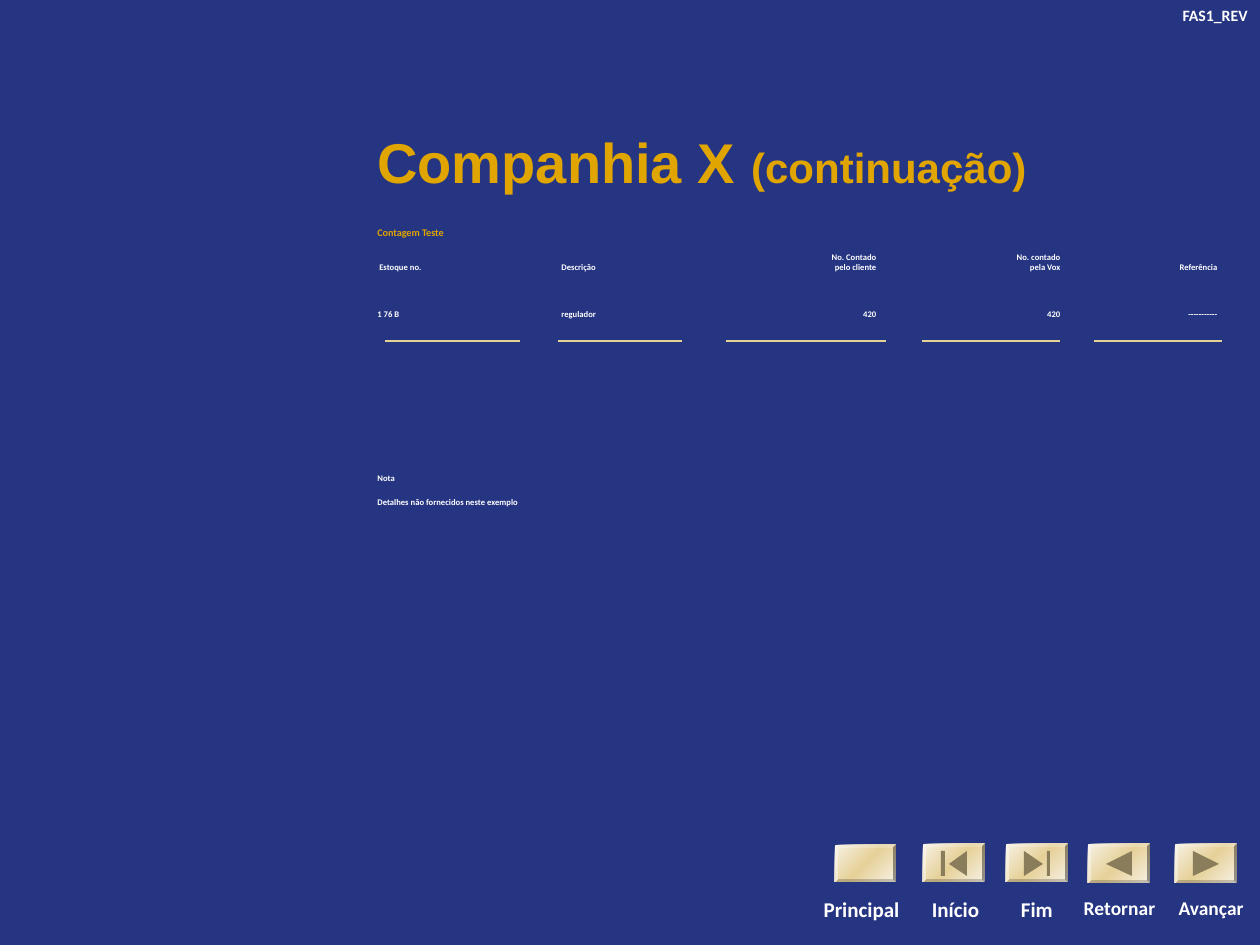
from copy import deepcopy

from pptx import Presentation
from pptx.dml.color import RGBColor
from pptx.enum.shapes import MSO_CONNECTOR, MSO_SHAPE
from pptx.enum.text import MSO_ANCHOR, PP_ALIGN
from pptx.oxml.ns import qn
from pptx.util import Emu, Pt
from lxml.etree import SubElement

PX = 914400 / 126
NAVY = RGBColor(0x26, 0x35, 0x82)
GOLD = RGBColor(0xE0, 0xA5, 0x00)
WHITE = RGBColor(0xFF, 0xFF, 0xFF)
SAND = RGBColor(0xE6, 0xD1, 0x99)
CREAM = RGBColor(0xF7, 0xF2, 0xE5)
OLIVE = RGBColor(0x8A, 0x7D, 0x5C)


def px(*lengths):
    """Turn pixel lengths into EMU."""
    return [Emu(round(n * PX)) for n in lengths]


def add_text(box, paragraphs, font="Calibri", align=PP_ALIGN.LEFT):
    """Add a text box; each paragraph is (text, size, colour, space before)."""
    tf = slide.shapes.add_textbox(*px(*box)).text_frame
    tf.word_wrap = True
    for i, (text, size, color, before) in enumerate(paragraphs):
        p = tf.add_paragraph() if i else tf.paragraphs[0]
        p.text = text
        p.alignment = align
        p.space_before = Pt(before)
        if "\t" in text:
            tabs = SubElement(p._p.get_or_add_pPr(), qn("a:tabLst"))
            for pos, side in TABS:
                SubElement(tabs, qn("a:tab"), pos=str(px(pos)[0]), algn=side)
        p.font.name = font
        p.font.size = Pt(size)
        p.font.bold = True
        p.font.color.rgb = color
    return tf


prs = Presentation()
prs.slide_width, prs.slide_height = px(1260, 945)
slide = prs.slides.add_slide(prs.slide_layouts[6])
slide.background.fill.solid()
slide.background.fill.fore_color.rgb = NAVY

add_text((1144, 0, 116, 32), [("FAS1_REV", 9, WHITE, 0)], align=PP_ALIGN.RIGHT)

title = add_text((365, 82, 880, 158), [("Companhia X ", 32, GOLD, 0)], "Arial")
title.vertical_anchor = MSO_ANCHOR.MIDDLE
r = title.paragraphs[0].add_run()
r.text = "(continuação)"
r.font.size = Pt(24)

# Stock count
TABS = [(184, "l"), (499, "r"), (683, "r"), (840, "r")]
HEADINGS = ("\t\tNo. Contado\tNo. contado\v"
            " Estoque no.\tDescrição \tpelo cliente\tpela Vox\tReferência")
add_text((365, 220, 880, 489), [
    ("Contagem Teste", 5.8, GOLD, 0),
    (HEADINGS, 4.9, WHITE, 7.5),
    ("1 76 B\tregulador\t420\t420\t-----------", 4.9, WHITE, 21),
    ("Nota", 4.9, WHITE, 88),
    ("Detalhes não fornecidos neste exemplo", 4.9, WHITE, 7.5),
])

for left, right in [(385, 520), (558, 682), (726, 886), (922, 1060), (1094, 1222)]:
    rule = slide.shapes.add_connector(
        MSO_CONNECTOR.STRAIGHT, *px(left, 341, right, 341))
    rule.line.color.rgb = SAND
    rule.line.width = Pt(0.75)
    SubElement(rule._element.spPr, qn("a:effectLst"))

# Navigation buttons: icon outlines are measured from the button's corner
BEGIN = [[(26, 20), (44, 7), (44, 32)], [(18, 7), (22, 7), (22, 32), (18, 32)]]
END = [[(18, 7), (37, 20), (18, 32)], [(41, 7), (44, 7), (44, 32), (41, 32)]]
BACK = [[(18, 20), (44, 7), (44, 32)]]
NEXT = [[(18, 7), (44, 20), (18, 32)]]
CENTER, RIGHT = PP_ALIGN.CENTER, PP_ALIGN.RIGHT
BUTTONS = [
    ("Principal", 12, CENTER, (784, 155), (835, 845, 61, 37), []),
    ("Início", 12, CENTER, (912, 87), (923, 844, 62, 38), BEGIN),
    ("Fim", 12, CENTER, (1004, 66), (1006, 844, 62, 38), END),
    ("Retornar", 11.1, CENTER, (1063, 113), (1088, 844, 62, 39), BACK),
    ("Avançar", 11.1, RIGHT, (1149, 107), (1175, 844, 62, 39), NEXT),
]
for label, size, align, (text_left, text_width), box, icon in BUTTONS:
    add_text((text_left, 890, text_width, 42), [(label, size, WHITE, 0)], align=align)

    sp = slide.shapes.add_shape(MSO_SHAPE.BEVEL, *px(*box))
    sp.shadow.inherit = False
    sp.adjustments[0] = 0.07
    sp.line.fill.background()
    sp.fill.gradient()
    sp.fill.gradient_angle = 135
    stop_list = sp._element.spPr.find(qn("a:gradFill")).find(qn("a:gsLst"))
    stop_list.insert(1, deepcopy(stop_list[0]))
    for stop, color, position in zip(
            sp.fill.gradient_stops, (CREAM, SAND, CREAM), (0, 0.5, 1)):
        stop.color.rgb = color
        stop.position = position

    if icon:
        outlines = [[(box[0] + x, box[1] + y) for x, y in part] for part in icon]
        builder = slide.shapes.build_freeform(*outlines[0][0], scale=PX)
        for i, outline in enumerate(outlines):
            if i:
                builder.move_to(*outline[0])
            builder.add_line_segments(outline[1:], close=True)
        sp = builder.convert_to_shape()
        sp.shadow.inherit = False
        sp.fill.solid()
        sp.fill.fore_color.rgb = OLIVE
        sp.line.fill.background()

prs.save("out.pptx")
